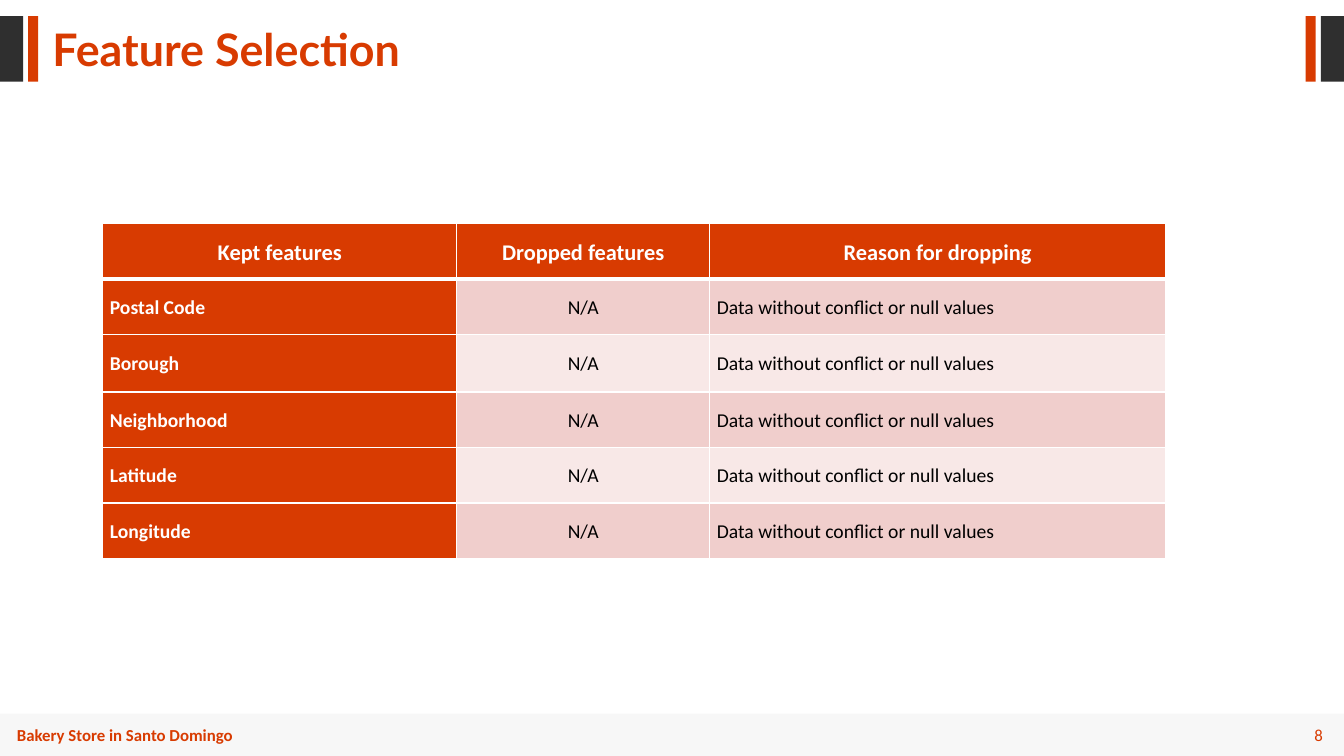
from dataclasses import dataclass

from lxml import etree
from pptx import Presentation
from pptx import util as u
from pptx.dml.color import RGBColor
from pptx.enum import shapes, text
from pptx.oxml.ns import qn


@dataclass(frozen=True)
class Theme:
    accent: str = "D83B01"
    dark: str = "2F2F2F"
    white: str = "FFFFFF"
    black: str = "000000"
    footer: str = "E6E6E6"
    bands: tuple = ("F0CECC", "F8E8E7")
    title_font: str = "Lato"
    body_font: str = "Calibri"
    title_size: int = 32
    header_size: int = 16
    cell_size: int = 14
    footer_size: int = 12


THEME = Theme()
WIDTH, HEIGHT = 13.33, 7.5
ALIGN = text.PP_ALIGN

HEADERS = ("Kept features", "Dropped features", "Reason for dropping")
KEPT_FEATURES = ("Postal Code", "Borough", "Neighborhood", "Latitude", "Longitude")
COLUMN_WIDTHS = (3.51, 2.51, 4.52)
ROW_HEIGHTS = (0.55, 0.55, 0.57, 0.55, 0.55, 0.55)


def write(frame, wording, size, color, bold=False, font=THEME.body_font,
          align=ALIGN.LEFT, spacing=1.0):
    frame.text = wording
    para = frame.paragraphs[0]
    para.alignment, para.line_spacing = align, spacing
    span = para.runs[0].font
    span.name, span.size, span.bold = font, u.Pt(size), bold
    span.color.rgb = RGBColor.from_string(color)


def add_block(page, box, color):
    block = page.shapes.add_shape(shapes.MSO_SHAPE.RECTANGLE, *map(u.Inches, box))
    block.shadow.inherit = False
    block.fill.solid()
    block.fill.fore_color.rgb = RGBColor.from_string(color)
    block.line.fill.background()
    return block


def add_title(page, box, wording):
    title = page.shapes.title
    title.left, title.top, title.width, title.height = map(u.Inches, box)
    frame = title.text_frame
    frame.vertical_anchor = text.MSO_ANCHOR.TOP
    frame.auto_size = text.MSO_AUTO_SIZE.NONE
    write(frame, wording, THEME.title_size, THEME.accent, True,
          THEME.title_font, spacing=0.8)


def add_edge_bars(page, top, height):
    """Mirror a dark bar and an accent bar at both edges of the slide."""
    for offset, width, color in ((0, 0.23, THEME.dark), (0.28, 0.1, THEME.accent)):
        for left in (offset, WIDTH - offset - width):
            add_block(page, (left, top, width, height), color)


def add_footer(page, box, wording, number):
    left, top, width, height = box
    band = add_block(page, box, THEME.footer)
    # The band is 30% opaque
    color = band.fill._xPr.find(".//" + qn("a:srgbClr"))
    etree.SubElement(color, qn("a:alpha"), val="30000")

    labels = ((left + 0.07, 2.5, wording, True, ALIGN.LEFT),
              (left + width - 0.98, 0.87, number, False, ALIGN.RIGHT))
    for label_left, label_width, label, bold, align in labels:
        area = (label_left, top + 0.06, label_width, height - 0.12)
        frame = page.shapes.add_textbox(*map(u.Inches, area)).text_frame
        frame.word_wrap = True
        frame.vertical_anchor = text.MSO_ANCHOR.MIDDLE
        write(frame, label, THEME.footer_size, THEME.accent, bold, align=align)


def set_borders(cell, bottom):
    properties = cell._tc.get_or_add_tcPr()
    for index, (side, points) in enumerate(
            (("lnL", 1), ("lnR", 1), ("lnT", 1), ("lnB", bottom))):
        line = etree.Element(qn("a:" + side), w=str(u.Pt(points)))
        fill = etree.SubElement(line, qn("a:solidFill"))
        etree.SubElement(fill, qn("a:srgbClr"), val=THEME.white)
        properties.insert(index, line)


def add_feature_table(page, left, top):
    rows = [HEADERS] + [(feature, "N/A", "Data without conflict or null values")
                        for feature in KEPT_FEATURES]
    box = (left, top, sum(COLUMN_WIDTHS), sum(ROW_HEIGHTS))
    table = page.shapes.add_table(len(rows), len(HEADERS), *map(u.Inches, box)).table
    for column, width in zip(table.columns, COLUMN_WIDTHS):
        column.width = u.Inches(width)
    for row, height in zip(table.rows, ROW_HEIGHTS):
        row.height = u.Inches(height)

    for r, row in enumerate(rows):
        for c, wording in enumerate(row):
            cell = table.cell(r, c)
            is_header = r == 0
            is_accent = is_header or c == 0
            fill = THEME.accent if is_accent else THEME.bands[(r - 1) % 2]
            cell.fill.solid()
            cell.fill.fore_color.rgb = RGBColor.from_string(fill)
            cell.vertical_anchor = text.MSO_ANCHOR.MIDDLE
            cell.margin_left = cell.margin_right = u.Inches(0.07)
            cell.margin_top = cell.margin_bottom = 0
            write(cell.text_frame, wording,
                  THEME.header_size if is_header else THEME.cell_size,
                  THEME.white if is_accent else THEME.black, is_accent,
                  align=ALIGN.CENTER if is_header or c == 1 else ALIGN.JUSTIFY,
                  spacing=1.07)
            set_borders(cell, bottom=3 if is_header else 1)


def build_feature_slide(deck):
    page = deck.slides.add_slide(deck.slide_layouts[5])
    # Heading
    add_edge_bars(page, 0.16, 0.65)
    add_title(page, (0.42, 0.27, WIDTH / 2, 0.54), "Feature Selection")
    # Body
    add_feature_table(page, 1.02, 2.22)
    # Footer
    add_footer(page, (0, HEIGHT - 0.42, WIDTH, 0.42),
               "Bakery Store in Santo Domingo", "8")


def main():
    deck = Presentation()
    deck.slide_width, deck.slide_height = u.Inches(WIDTH), u.Inches(HEIGHT)
    build_feature_slide(deck)
    deck.save("out.pptx")


if __name__ == "__main__":
    main()
